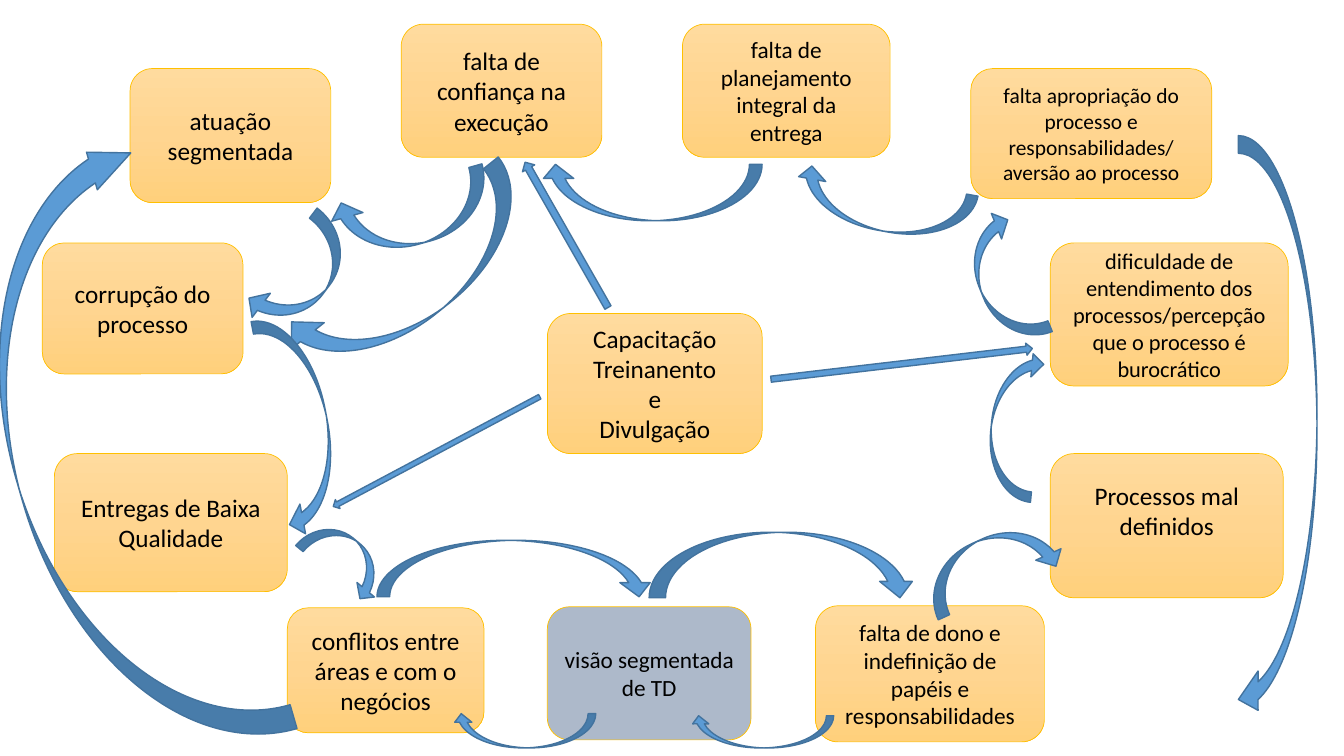
"""Build the slide on the cycle of causes behind fragmented work."""
from copy import deepcopy
from dataclasses import dataclass
from typing import NamedTuple

from pptx import Presentation
from pptx.dml.color import RGBColor
from pptx.enum.shapes import MSO_SHAPE as Shape
from pptx.enum.text import MSO_ANCHOR as Anchor, PP_ALIGN as Align
from pptx.oxml.ns import qn
from pptx.shapes.autoshape import Shape as AutoShape
from pptx.util import Inches, Pt


@dataclass(frozen=True)
class Theme:
    """Colours, type sizes and line widths."""
    font: str = "Calibri"
    text: str = "000000"
    box_stops: tuple = ((0, "FFDB9E"), (0.5, "FFD590"), (1, "FFD07C"))
    box_line: str = "FFC000"
    accent: str = "ADB9CA"
    arrow: str = "5B9BD5"
    arrow_line: str = "43739E"
    large: float = 18
    medium: float = 16.6
    compact: float = 16
    small: float = 15.3
    box_width: float = 0.5
    arrow_width: float = 1


class Area(NamedTuple):
    """Left, top, width and height in percent of the slide's size."""
    x: float
    y: float
    w: float
    h: float


class Box(NamedTuple):
    """A cause in the cycle, with the extra bottom inset in percent."""
    text: str
    area: Area
    size: float
    accent: bool = False
    lift: float = 0


class Arrow(NamedTuple):
    """A block arrow with its rotation and adjustments."""
    area: Area
    rotation: float
    kind: Shape = Shape.CURVED_DOWN_ARROW
    adjust: tuple = ()


T = Theme()
WIDTH, HEIGHT = Inches(13.33), Inches(7.5)
EVEN = (0.225, 0.5, 0.25)
WIDE = (0.225, 0.536, 0.25)
SWEEP = (0.124, 0.195, 0.211)
DOWN, RIGHT = Shape.CURVED_DOWN_ARROW, Shape.RIGHT_ARROW

BOXES = (
    Box("visão segmentada de TD", Area(40.73, 80.27, 15.15, 17.6), T.medium, accent=True),
    Box("falta de dono e indefinição de papéis e responsabilidades",
        Area(60.68, 80.13, 17.03, 18), T.medium),
    Box("corrupção do processo", Area(3.15, 32.13, 14.93, 17.33), T.large),
    Box("Processos mal definidos", Area(78.15, 60, 17.33, 19.07), T.large, lift=4),
    Box("conflitos entre áreas e com o negócios",
        Area(21.38, 80.4, 14.63, 16.53), T.large),
    Box("atuação segmentada", Area(9.68, 9.07, 14.93, 17.73), T.large),
    Box("falta apropriação do processo e responsabilidades/ aversão ao processo",
        Area(72.23, 9.07, 17.93, 17.2), T.small),
    Box("falta de confiança na execução", Area(29.85, 3.2, 14.93, 17.6), T.large),
    Box("falta de planejamento integral da entrega",
        Area(50.78, 3.2, 15.45, 17.6), T.medium),
    Box("Capacitação\nTreinanento\ne\nDivulgação",
        Area(40.73, 41.47, 15.98, 18.53), T.large),
    Box("Entregas de Baixa Qualidade", Area(4.05, 60, 17.33, 18.27), T.large),
    Box("dificuldade de entendimento dos processos/percepção que o processo é burocrático",
        Area(78.15, 32.13, 17.7, 18.93), T.compact),
)

ARROWS = (
    Arrow(Area(55.8, 57.07, 4.88, 35.33), 270, Shape.CURVED_LEFT_ARROW),
    Arrow(Area(20.1, 31.33, 21.23, 11.07), 141.4, DOWN, EVEN),
    Arrow(Area(69.9, 53.2, 11.18, 6.13), 275.5, DOWN, EVEN),
    Arrow(Area(69.68, 33.47, 9.98, 6.8), 248.3, DOWN, WIDE),
    Arrow(Area(58.95, 23.73, 13.58, 6.8), 190.3, DOWN, WIDE),
    Arrow(Area(40.2, 21.73, 16.5, 7.47), 180, DOWN, WIDE),
    Arrow(Area(24.6, 24.4, 12.08, 8), 164.5, DOWN, WIDE),
    Arrow(Area(17.63, 32.8, 9.53, 7.47), 127.1, DOWN, WIDE),
    Arrow(Area(14.03, 52.53, 16.5, 7.47), 79.3, DOWN, WIDE),
    Arrow(Area(28.05, 71.47, 20.63, 7.47), 0, DOWN, WIDE),
    Arrow(Area(22.2, 71.2, 7.05, 5.6), 39.6, DOWN, WIDE),
    Arrow(Area(57.3, 47.33, 19.58, 1.6), 353.3, RIGHT),
    Arrow(Area(51.38, 94.67, 10.65, 4.27), 180, DOWN, EVEN),
    Arrow(Area(73.35, 51.33, 43.43, 10.4), 90, DOWN, EVEN),
    Arrow(Area(68.48, 71.07, 10.65, 7.33), 335.5, DOWN, EVEN),
    Arrow(Area(-14.48, 47.47, 46.05, 26.53), 253.9, DOWN, SWEEP),
    Arrow(Area(33.68, 94.4, 10.65, 4.53), 180, DOWN, EVEN),
    Arrow(Area(35.93, 30.13, 12.45, 1.87), 240.3, RIGHT),
    Arrow(Area(23.78, 59.07, 17.4, 1.33), 152, RIGHT),
)


def add_outlined(s, kind: Shape, area: Area, line: str, width: float) -> AutoShape:
    """Place a preset shape without shadow and set its outline."""
    sp = s.shapes.add_shape(
        kind, round(WIDTH * area.x / 100), round(HEIGHT * area.y / 100),
        round(WIDTH * area.w / 100), round(HEIGHT * area.h / 100))
    sp.shadow.inherit = False
    sp.line.color.rgb = RGBColor.from_string(line)
    sp.line.width = Pt(width)
    return sp


def fill_solid(sp: AutoShape, color: str) -> None:
    """Fill a shape with one colour."""
    sp.fill.solid()
    sp.fill.fore_color.rgb = RGBColor.from_string(color)


def fill_gradient(sp: AutoShape, stops: tuple) -> None:
    """Fill a shape with a three-stop gradient from top to bottom."""
    sp.fill.gradient()
    sp.fill.gradient_angle = 270
    first = sp.fill.gradient_stops[0]
    first.color.rgb = RGBColor.from_string(stops[0][1])
    gs = sp.element.spPr.find(".//" + qn("a:gs"))
    gs.addnext(deepcopy(gs))
    for stop, (position, color) in zip(sp.fill.gradient_stops, stops):
        stop.position = position
        stop.color.rgb = RGBColor.from_string(color)


def write(sp: AutoShape, text: str, *, size: float, color: str = T.text,
          align: Align = Align.CENTER, lift: float = 0) -> None:
    """Write one paragraph per line of text into a shape."""
    tf = sp.text_frame
    tf.word_wrap = True
    tf.vertical_anchor = Anchor.MIDDLE
    tf.margin_bottom += round(HEIGHT * lift / 100)
    for i, line in enumerate(text.split("\n")):
        p = tf.add_paragraph() if i else tf.paragraphs[0]
        p.alignment = align
        r = p.add_run()
        r.text = line
        r.font.name = T.font
        r.font.size = Pt(size)
        r.font.color.rgb = RGBColor.from_string(color)


def draw_box(s, box: Box) -> None:
    """Draw one cause of the cycle."""
    sp = add_outlined(s, Shape.ROUNDED_RECTANGLE, box.area, T.box_line, T.box_width)
    if box.accent:
        fill_solid(sp, T.accent)
    else:
        fill_gradient(sp, T.box_stops)
    write(sp, box.text, size=box.size, lift=box.lift)


def draw_arrow(s, arrow: Arrow) -> None:
    """Draw one block arrow."""
    sp = add_outlined(s, arrow.kind, arrow.area, T.arrow_line, T.arrow_width)
    fill_solid(sp, T.arrow)
    sp.rotation = arrow.rotation
    for i, value in enumerate(arrow.adjust):
        sp.adjustments[i] = value


def main() -> None:
    """Build and save the slide."""
    prs = Presentation()
    prs.slide_width, prs.slide_height = WIDTH, HEIGHT
    s = prs.slides.add_slide(prs.slide_layouts[6])
    for box in BOXES:
        draw_box(s, box)
    for arrow in ARROWS:
        draw_arrow(s, arrow)
    prs.save("out.pptx")


if __name__ == "__main__":
    main()
